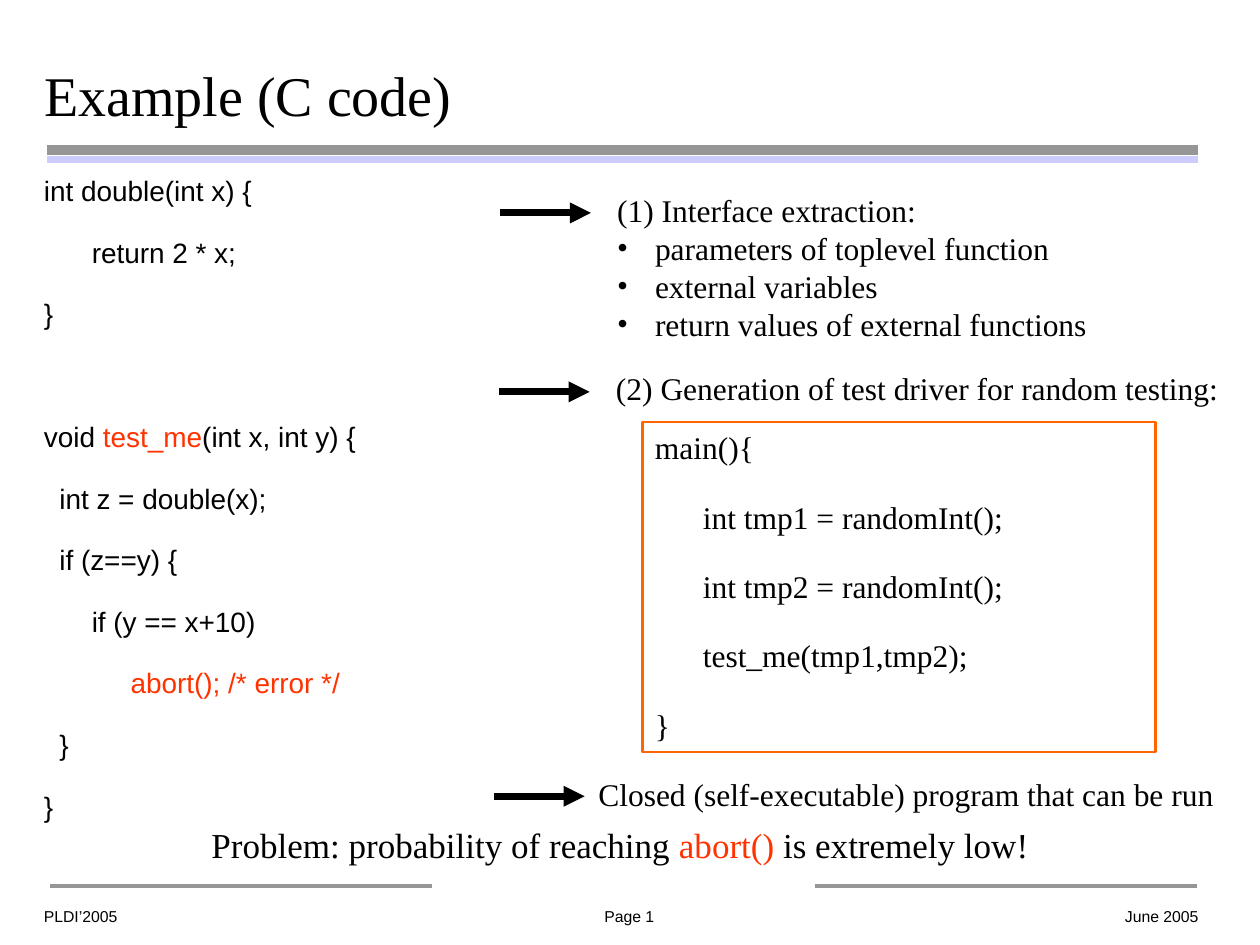
from lxml.etree import SubElement
from pptx import Presentation
from pptx.dml.color import RGBColor
from pptx.enum.shapes import MSO_CONNECTOR, MSO_SHAPE
from pptx.enum.text import MSO_ANCHOR, PP_ALIGN
from pptx.oxml.ns import qn
from pptx.util import Inches, Pt

COLORS = {"text": "000000", "alert": "FF3300", "frame": "FF6600",
          "gray": "969696", "lavender": "CCCCFF"}
SERIF, SANS = "Times New Roman", "Arial"
CODE_INDENT, BULLET_INDENT = 0.38, 0.3

# A paragraph is a list of (text, color) runs.
TITLE = [("Example (C code)", "text")]
DOUBLE_CODE = [
    [("int double(int x) {", "text")],
    [("\treturn 2 * x;", "text")],
    [("}", "text")],
]
TEST_CODE = [
    [("void ", "text"), ("test_me", "alert"), ("(int x, int y) {", "text")],
    [("  int z = double(x);", "text")],
    [("  if (z==y) {", "text")],
    [("\tif (y == x+10)", "text")],
    [("\t     ", "text"), ("abort(); /* error */", "alert")],
    [("  }", "text")],
    [("}", "text")],
]
DRIVER_CODE = [[(line, "text")] for line in (
    "main(){", "\tint tmp1 = randomInt();", "\tint tmp2 = randomInt();",
    "\ttest_me(tmp1,tmp2);", "}")]
INTERFACE = [[(line, "text")] for line in (
    "(1) Interface extraction:", "parameters of toplevel function",
    "external variables", "return values of external functions")]
PROBLEM = [("Problem: probability of reaching ", "text"), ("abort()", "alert"),
           (" is extremely low!", "text")]
STEP_LABELS = [  # text, box
    ("(2) Generation of test driver for random testing:", (4.79, 2.88, 4.99, 0.4)),
    ("Closed (self-executable) program that can be run", (4.65, 6.1, 5.09, 0.4)),
]
FOOTERS = [  # text, box, alignment
    ("PLDI’2005", (0.25, 7.15, 2.5, 0.25), PP_ALIGN.LEFT),
    ("Page 1", (4.58, 7.15, 0.83, 0.25), PP_ALIGN.CENTER),
    ("June 2005", (6.83, 7.15, 2.78, 0.25), PP_ALIGN.RIGHT),
]
RULES = [  # left, right, y, color, width in points
    (0.37, 9.51, 1.19, "gray", 6),
    (0.37, 9.51, 1.27, "lavender", 4),
    (6.47, 9.5, 7.03, "gray", 2),
    (0.4, 3.43, 7.03, "gray", 2),
]
ARROW_STARTS = [(3.97, 1.69), (3.96, 3.11), (3.92, 6.32)]
ARROW_LENGTH = 0.72


def rgb(name):
    return RGBColor.from_string(COLORS[name])


def fill_text(shape, paragraphs, size, font, align=PP_ALIGN.LEFT,
              anchor=MSO_ANCHOR.TOP, wrap=True, space=0):
    frame = shape.text_frame
    frame.word_wrap = wrap
    frame.vertical_anchor = anchor
    frame.margin_left = frame.margin_right = Inches(0.1)
    frame.margin_top = frame.margin_bottom = Inches(0.05)
    for index, runs in enumerate(paragraphs):
        paragraph = frame.add_paragraph() if index else frame.paragraphs[0]
        paragraph.alignment = align
        paragraph.space_before = Pt(space if index else 0)
        for text, color in runs:
            run = paragraph.add_run()
            run.text = text
            run.font.size = Pt(size)
            run.font.name = font
            run.font.color.rgb = rgb(color)
    return frame.paragraphs


def hang(paragraph, indent, bullet=None):
    """Give a paragraph a hanging indent, with or without a bullet."""
    properties = paragraph._p.get_or_add_pPr()
    properties.set("marL", str(Inches(indent)))
    properties.set("indent", str(-Inches(indent)))
    if bullet:
        SubElement(properties, qn("a:buFont"), typeface=SERIF)
        SubElement(properties, qn("a:buChar"), char=bullet)


def add_text(slide, box, paragraphs, size, font=SERIF, **options):
    shape = slide.shapes.add_textbox(*map(Inches, box))
    return fill_text(shape, paragraphs, size, font, **options)


def add_line(slide, left, right, y, color, width, arrow=False):
    line = slide.shapes.add_connector(
        MSO_CONNECTOR.STRAIGHT, Inches(left), Inches(y), Inches(right), Inches(y))
    line.line.color.rgb = rgb(color)
    line.line.width = Pt(width)
    if arrow:
        SubElement(line.line._get_or_add_ln(), qn("a:tailEnd"), type="triangle")
    SubElement(line._element.spPr, qn("a:effectLst"))


def main():
    presentation = Presentation()
    presentation.slide_width, presentation.slide_height = Inches(10), Inches(7.5)
    slide = presentation.slides.add_slide(presentation.slide_layouts[5])

    title = slide.shapes.title
    title.left, title.top, title.width, title.height = map(
        Inches, (0.25, 0.33, 6.83, 0.83))
    fill_text(title, [TITLE], 32, SERIF, anchor=MSO_ANCHOR.MIDDLE)

    for rule in RULES:
        add_line(slide, *rule)
    for text, box, align in FOOTERS:
        add_text(slide, box, [[(text, "text")]], 9, SANS, align=align)

    code = add_text(slide, (0.25, 1.33, 3.72, 5.58), DOUBLE_CODE + TEST_CODE,
                    16, SANS, space=16)
    for paragraph in code:
        hang(paragraph, CODE_INDENT)
    code[len(DOUBLE_CODE)].space_before = Pt(51)  # one open line between functions

    interface = add_text(slide, (4.8, 1.47, 4.28, 1.3), INTERFACE, 18)
    for paragraph in interface[1:]:
        hang(paragraph, BULLET_INDENT, "•")

    driver = slide.shapes.add_shape(
        MSO_SHAPE.RECTANGLE, *map(Inches, (5.1, 3.35, 4.07, 2.62)))
    driver.shadow.inherit = False
    driver.fill.background()
    driver.line.color.rgb = rgb("frame")
    driver.line.width = Pt(1.5)
    for paragraph in fill_text(driver, DRIVER_CODE, 18, SERIF, space=18):
        hang(paragraph, CODE_INDENT)

    for text, box in STEP_LABELS:
        add_text(slide, box, [[(text, "text")]], 18, wrap=False)
    for left, y in ARROW_STARTS:
        add_line(slide, left, left + ARROW_LENGTH, y, "text", 4, arrow=True)
    add_text(slide, (1.58, 6.49, 6.89, 0.43), [PROBLEM], 20)

    presentation.save("out.pptx")


if __name__ == "__main__":
    main()
